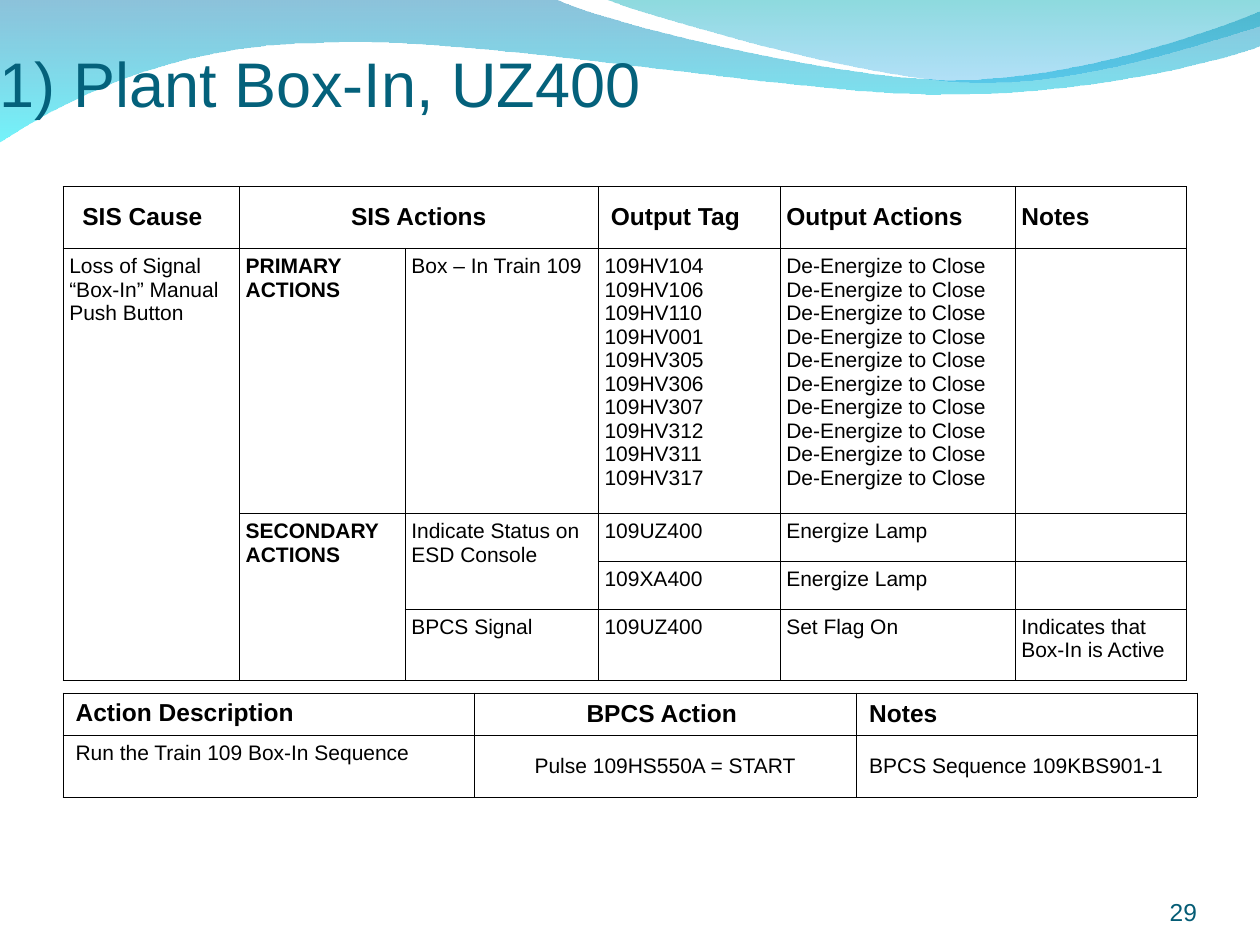
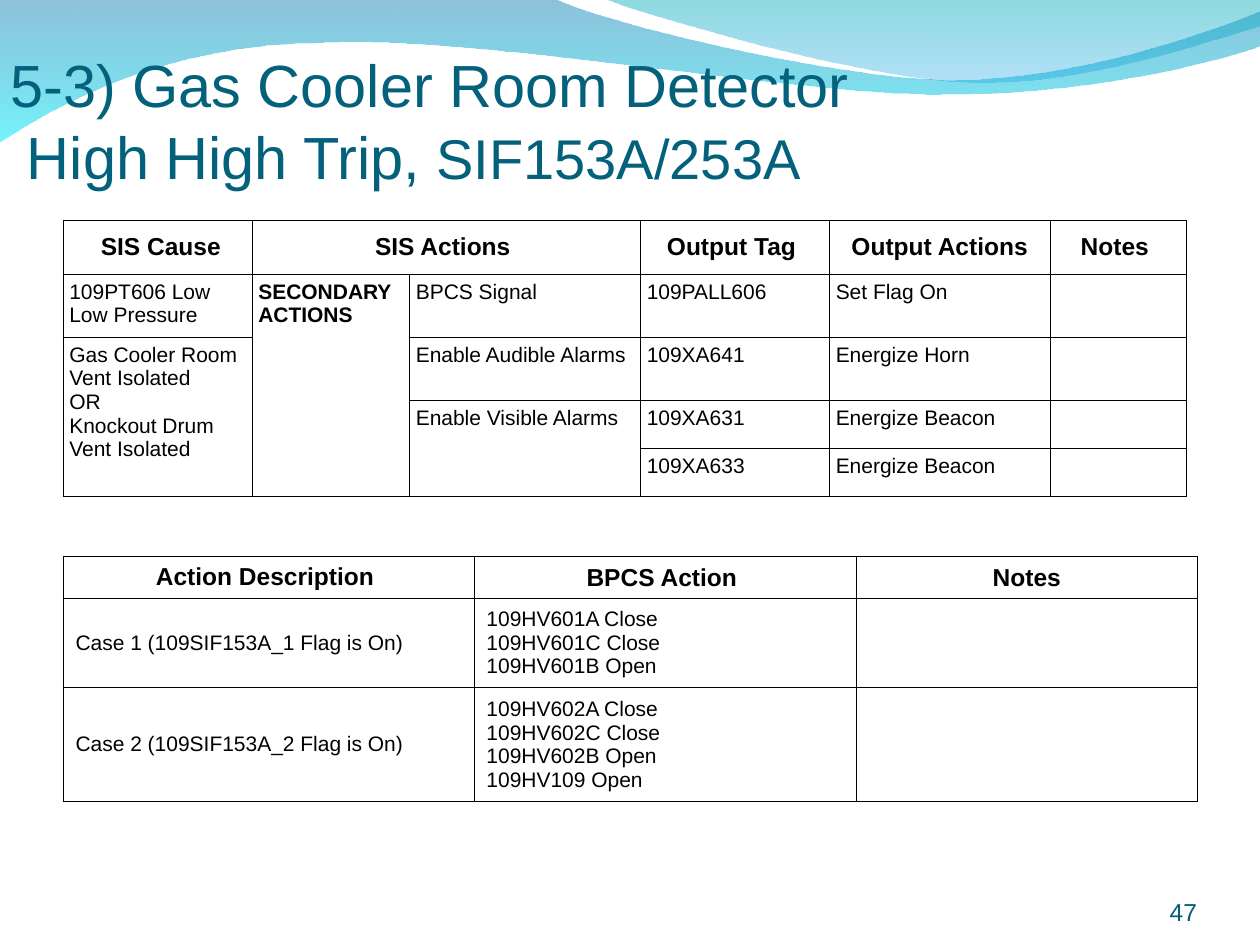
from dataclasses import dataclass
from typing import Optional

from lxml import etree
from pptx import Presentation
from pptx.dml.color import RGBColor
from pptx.enum.text import MSO_ANCHOR, PP_ALIGN
from pptx.oxml.ns import qn
from pptx.util import Pt

LEFT, CENTER, RIGHT = PP_ALIGN.LEFT, PP_ALIGN.CENTER, PP_ALIGN.RIGHT
TOP, MIDDLE, BOTTOM = MSO_ANCHOR.TOP, MSO_ANCHOR.MIDDLE, MSO_ANCHOR.BOTTOM

Point = tuple[float, float]


@dataclass(frozen=True)
class Theme:
    font: str = "Arial"
    title: str = "04617B"
    number: str = "045C75"
    ink: str = "000000"
    head_size: float = 14
    body_size: float = 12
    number_size: float = 14
    border: float = 0.45
    narrow: float = 3.6
    wide: float = 7.2
    margin: float = 36


THEME = Theme()


@dataclass(frozen=True)
class Band:
    start: Point
    segments: tuple[tuple[Point, ...], ...]
    stops: tuple[tuple[str, int], ...]


@dataclass(frozen=True)
class Title:
    left: float
    top: float
    anchor: MSO_ANCHOR
    lines: tuple[tuple[tuple[str, float], ...], ...]


@dataclass(frozen=True)
class Cell:
    text: str = ""
    size: float = THEME.body_size
    bold: bool = False
    align: PP_ALIGN = LEFT
    anchor: MSO_ANCHOR = TOP
    inset: float = THEME.narrow
    rows: int = 1
    cols: int = 1


@dataclass(frozen=True)
class Grid:
    top: float
    widths: tuple[float, ...]
    heights: tuple[float, ...]
    cells: list[list[Optional[Cell]]]


@dataclass(frozen=True)
class Page:
    title: Title
    grids: tuple[Grid, ...]
    number: str


BANDS = (
    Band((0, -0.72), (
        ((316.8, -0.72),),
        ((342.7, 12.2), (478.1, 45.4), (545.8, 45.4)),
        ((614.2, 45.4), (689.8, 18.7), (720, 6.5)),
        ((720.72, 25.9),),
        ((707.8, 31.7), (626.4, 54.7), (537.1, 54)),
        ((447.8, 54), (275, 20.2), (185, 24.5)),
        ((92.9, 25.2), (33.1, 59.8), (-0.72, 81.4)),
    ), (("0079AF", 45), ("00EBF8", 55))),
    Band((344.9, -0.72), (
        ((366.5, 7.9), (491, 44.6), (553.7, 46.8)),
        ((616.3, 49.7), (691.9, 23), (720, 15.1)),
        ((720, 0),),
    ), (("00ADB6", 45), ("009BE5", 30))),
)


def bend_sides(sp, band: Band) -> None:
    sides = list(sp.element.iter(qn("a:lnTo")))
    for side, segment in zip(sides, band.segments):
        if len(segment) == 3:
            bend = etree.Element(qn("a:cubicBezTo"))
            for x, y in segment:
                etree.SubElement(bend, qn("a:pt"), x=str(Pt(x) - sp.left), y=str(Pt(y) - sp.top))
            side.getparent().replace(side, bend)


def draw_band(s, band: Band) -> None:
    ends = [segment[-1] for segment in band.segments]
    builder = s.shapes.build_freeform(*map(Pt, band.start))
    builder.add_line_segments([(Pt(x), Pt(y)) for x, y in ends], close=True)
    sp = builder.convert_to_shape()
    bend_sides(sp, band)
    sp.shadow.inherit = False
    sp.line.fill.background()
    sp.fill.gradient()
    sp.fill.gradient_angle = 270
    for stop, (color, _) in zip(sp.fill.gradient_stops, band.stops):
        stop.color.rgb = RGBColor.from_string(color)
    for clr, (_, opacity) in zip(sp.element.iter(qn("a:srgbClr")), band.stops):
        etree.SubElement(clr, qn("a:alpha"), val=str(opacity * 1000))


def style_font(font, size: float, color: str, bold: bool = False) -> None:
    font.name = THEME.font
    font.size = Pt(size)
    font.bold = bold
    font.color.rgb = RGBColor.from_string(color)


def add_box(s, left: float, top: float, width: float, height: float,
            anchor: MSO_ANCHOR, inset_top: float = 0):
    tf = s.shapes.add_textbox(Pt(left), Pt(top), Pt(width), Pt(height)).text_frame
    tf.word_wrap = True
    tf.vertical_anchor = anchor
    tf.margin_left = tf.margin_right = tf.margin_bottom = 0
    tf.margin_top = Pt(inset_top)
    return tf


def draw_title(s, title: Title) -> None:
    tf = add_box(s, title.left, title.top, 648, 90, title.anchor, THEME.narrow)
    p = tf.paragraphs[0]
    for i, line in enumerate(title.lines):
        if i:
            p.add_line_break()
        for text, size in line:
            r = p.add_run()
            r.text = text
            style_font(r.font, size, THEME.title)


def draw_number(s, number: str) -> None:
    p = add_box(s, 624, 500.4, 60, 28.8, BOTTOM).paragraphs[0]
    p.text = number
    p.alignment = RIGHT
    style_font(p.font, THEME.number_size, THEME.number)


def outline(tc) -> None:
    tc_pr = tc.get_or_add_tcPr()
    for i, side in enumerate(("lnL", "lnR", "lnT", "lnB")):
        ln = etree.Element(qn(f"a:{side}"), w=str(Pt(THEME.border)))
        fill = etree.SubElement(ln, qn("a:solidFill"))
        etree.SubElement(fill, qn("a:srgbClr"), val=THEME.ink)
        tc_pr.insert(i, ln)


def fill_cell(target, cell: Cell) -> None:
    target.margin_left = target.margin_right = Pt(cell.inset)
    target.margin_top = target.margin_bottom = Pt(THEME.narrow)
    target.vertical_anchor = cell.anchor
    target.text_frame.text = cell.text
    for p in target.text_frame.paragraphs:
        p.alignment = cell.align
        style_font(p.font, cell.size, THEME.ink, cell.bold)


def draw_grid(s, grid: Grid) -> None:
    table = s.shapes.add_table(
        len(grid.heights), len(grid.widths), Pt(THEME.margin), Pt(grid.top),
        Pt(sum(grid.widths)), Pt(sum(grid.heights))).table
    table.first_row = table.horz_banding = False
    for column, width in zip(table.columns, grid.widths):
        column.width = Pt(width)
    for row, height in zip(table.rows, grid.heights):
        row.height = Pt(height)
    for i, row in enumerate(grid.cells):
        for j, cell in enumerate(row):
            target = table.cell(i, j)
            target.fill.background()
            outline(target._tc)
            if cell:
                fill_cell(target, cell)
                if cell.rows > 1 or cell.cols > 1:
                    target.merge(table.cell(i + cell.rows - 1, j + cell.cols - 1))


def head(text: str, align: PP_ALIGN = CENTER, inset: float = THEME.wide,
         cols: int = 1, anchor: MSO_ANCHOR = MIDDLE) -> Cell:
    return Cell(text, THEME.head_size, True, align, anchor, inset, cols=cols)


def detail(text: str = "", align: PP_ALIGN = LEFT, anchor: MSO_ANCHOR = MIDDLE) -> Cell:
    return Cell(text, align=align, anchor=anchor, inset=THEME.wide)


def sis_header(align: PP_ALIGN, tail: str = "") -> list[Optional[Cell]]:
    return [head(" SIS Cause", align), head("SIS Actions" + tail, cols=2), None,
            head("Output Tag" + tail, align), head("Output Actions", align, THEME.narrow),
            head("Notes" + tail, align, THEME.narrow)]


def bpcs_header(align: PP_ALIGN, tail: str = "") -> list[Optional[Cell]]:
    return [head("Action Description" + tail, align, anchor=TOP),
            head("BPCS Action "), head("Notes", align)]


BPCS_WIDTHS = (234.8, 218.7, 194.5)
BOX_IN_VALVES = ("104", "106", "110", "001", "305", "306", "307", "312", "311", "317")

PAGES = (
    Page(
        Title(0, 0, MIDDLE, ((("1) Plant Box-In, UZ400", 36),),)),
        (
            Grid(106.5, (100.8, 94.7, 110.4, 103.9, 134.3, 98), (35.4, 151.4, 27.4, 27.4, 40.6), [
                sis_header(LEFT),
                [Cell("Loss of Signal “Box-In” Manual Push Button", rows=4),
                 Cell("PRIMARY ACTIONS", bold=True), Cell("Box – In Train 109"),
                 Cell("\n".join(f"109HV{valve}" for valve in BOX_IN_VALVES)),
                 Cell("\n".join(["De-Energize to Close"] * len(BOX_IN_VALVES))), Cell()],
                [None, Cell("SECONDARY ACTIONS", bold=True, rows=3),
                 Cell("Indicate Status on ESD Console", rows=2),
                 Cell("109UZ400"), Cell("Energize Lamp"), Cell()],
                [None, None, None, Cell("109XA400"), Cell("Energize Lamp"), Cell()],
                [None, None, Cell("BPCS Signal"), Cell("109UZ400"), Cell("Set Flag On"),
                 Cell("Indicates that Box-In is Active")],
            ]),
            Grid(396, BPCS_WIDTHS, (24, 35.4), [
                bpcs_header(LEFT),
                [detail("Run the Train 109 Box-In Sequence", anchor=TOP),
                 detail("Pulse 109HS550A = START", CENTER),
                 detail("BPCS Sequence 109KBS901-1")],
            ]),
        ),
        "29",
    ),
    Page(
        Title(6, 24, TOP, (
            (("5-3) Gas Cooler Room Detector", 34),),
            ((" High High Trip, ", 34), ("SIF153A/253A", 32)),
        )),
        (
            Grid(126, (108, 90, 132, 108, 126, 78), (30.6, 36, 36, 27.4, 27.4), [
                sis_header(CENTER, " "),
                [Cell("109PT606 Low Low Pressure"),
                 Cell("SECONDARY ACTIONS", bold=True, rows=4),
                 Cell("BPCS Signal"), Cell("109PALL606"), Cell("Set Flag On"), Cell()],
                [Cell("Gas Cooler Room Vent Isolated\nOR\nKnockout Drum Vent Isolated", rows=3),
                 None, Cell("Enable Audible Alarms"), Cell("109XA641"),
                 Cell("Energize Horn"), Cell()],
                [None, None, Cell("Enable Visible Alarms", rows=2),
                 Cell("109XA631"), Cell("Energize Beacon"), Cell()],
                [None, None, None, Cell("109XA633"), Cell("Energize Beacon"), Cell()],
            ]),
            Grid(318, BPCS_WIDTHS, (24, 50.9, 65), [
                bpcs_header(CENTER, " "),
                [detail("Case 1 (109SIF153A_1 Flag is On)"),
                 detail("109HV601A Close\n109HV601C Close\n109HV601B Open"), detail()],
                [detail("Case 2 (109SIF153A_2 Flag is On)"),
                 detail("109HV602A Close\n109HV602C Close\n109HV602B Open\n109HV109 Open"),
                 detail()],
            ]),
        ),
        "47",
    ),
)


def main() -> None:
    prs = Presentation()
    prs.slide_width, prs.slide_height = Pt(720), Pt(540)
    for page in PAGES:
        s = prs.slides.add_slide(prs.slide_layouts[6])
        for band in BANDS:
            draw_band(s, band)
        draw_title(s, page.title)
        for grid in page.grids:
            draw_grid(s, grid)
        draw_number(s, page.number)
    prs.save("out.pptx")


if __name__ == "__main__":
    main()
